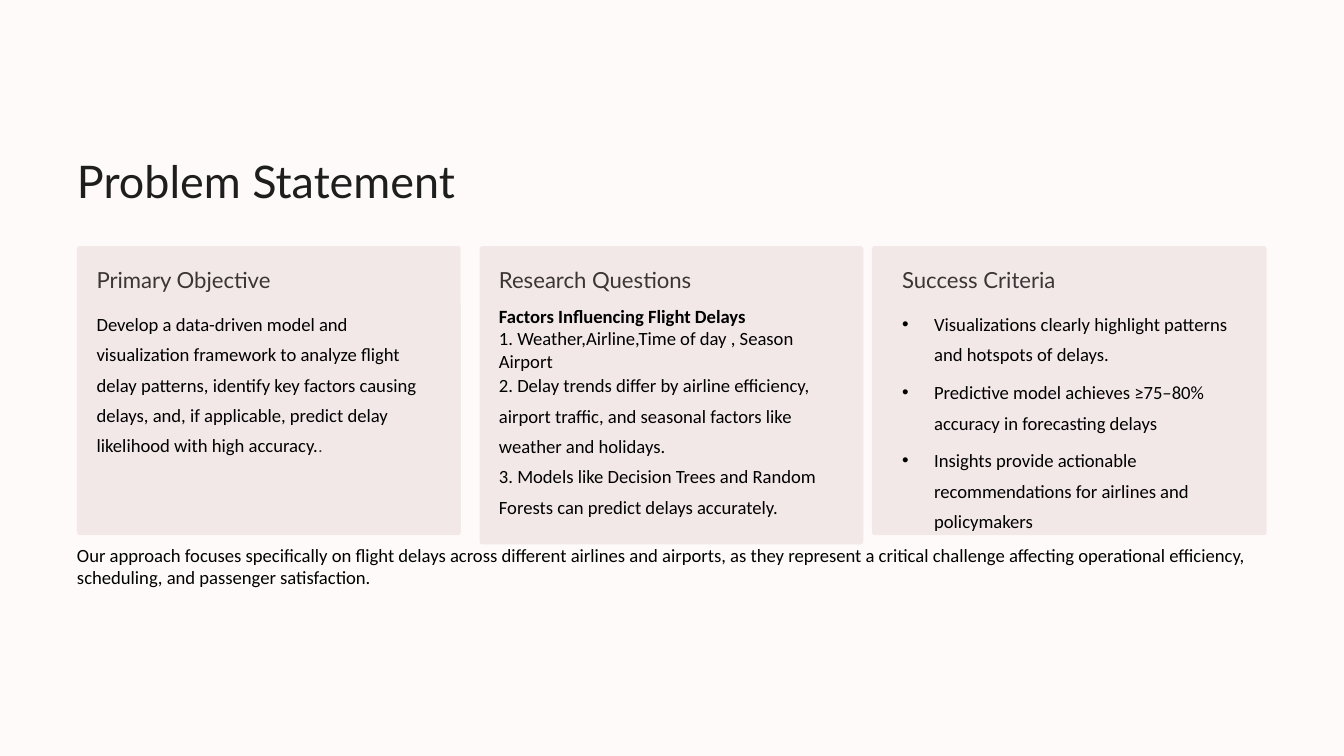
"""Builds the Problem Statement slide with three cards and a closing note."""
from lxml import etree
from pptx import Presentation
from pptx.dml.color import RGBColor
from pptx.enum.shapes import MSO_SHAPE
from pptx.enum.text import MSO_ANCHOR, MSO_AUTO_SIZE, PP_ALIGN
from pptx.oxml.ns import qn
from pptx.util import Pt

ROUNDED = MSO_SHAPE.ROUNDED_RECTANGLE
TOP = MSO_ANCHOR.TOP
NO_FIT = MSO_AUTO_SIZE.NONE
LEFT = PP_ALIGN.LEFT

BACKGROUND = RGBColor(0xFF, 0xFA, 0xFA)
CARD = RGBColor(0xF3, 0xE8, 0xE8)
TITLE = RGBColor(0x1F, 0x1E, 0x1E)
HEADING = RGBColor(0x3B, 0x35, 0x35)
BODY = RGBColor(0x00, 0x00, 0x00)

MARGIN = 66
CARD_TOP = 211
HEADING_TOP = 226.8
BODY_TOP = 261.4
TEXT_WIDTH = 296
BULLET_INDENT = 27.4


class CardSlide:
    """Holds the slide and its text style, and draws each kind of element."""

    def __init__(self, slide):
        self.slide = slide
        slide.background.fill.solid()
        slide.background.fill.fore_color.rgb = BACKGROUND

    def fill_text(self, holder, lines, size=16, font="Calibri", color=BODY,
                  spacing=None, gap=0, wrap=True, bullets=False):
        frame = holder.text_frame
        frame.margin_left = frame.margin_right = Pt(0)
        frame.margin_top = frame.margin_bottom = Pt(0)
        frame.word_wrap = wrap
        frame.auto_size = NO_FIT
        frame.vertical_anchor = TOP
        frame.text = "\n".join(lines)
        for index, paragraph in enumerate(frame.paragraphs):
            paragraph.alignment = LEFT
            paragraph.space_before = Pt(gap if index else 0)
            if spacing:
                paragraph.line_spacing = Pt(spacing)
            if bullets:
                properties = paragraph._p.get_or_add_pPr()
                properties.set("marL", str(Pt(BULLET_INDENT)))
                properties.set("indent", str(-Pt(BULLET_INDENT)))
                etree.SubElement(properties, qn("a:buChar"), char="•")
            for run in paragraph.runs:
                self.style(run, size, font, color)
        return frame

    def style(self, run, size, font, color):
        run.font.size = Pt(size)
        run.font.name = font
        run.font.color.rgb = color

    def place(self, holder, left, top, width, height):
        holder.left, holder.top = Pt(left), Pt(top)
        holder.width, holder.height = Pt(width), Pt(height)

    def title(self, text):
        holder = self.slide.shapes.title
        self.place(holder, MARGIN, 129, 388, 48)
        self.fill_text(holder, [text], 38.5, "Lato", TITLE, 48.5, wrap=False)

    def text(self, left, top, width, height, lines, **style):
        box = self.slide.shapes.add_textbox(Pt(left), Pt(top), Pt(width), Pt(height))
        return self.fill_text(box, lines, **style)

    def card(self, left, width, height, text_left, heading):
        panel = self.slide.shapes.add_shape(
            ROUNDED, Pt(left), Pt(CARD_TOP), Pt(width), Pt(height))
        panel.adjustments[0] = 0.01
        panel.shadow.inherit = False
        panel.fill.solid()
        panel.fill.fore_color.rgb = CARD
        panel.line.fill.background()
        self.text(text_left, HEADING_TOP, 194, 24, [heading], size=19,
                  font="Lato", color=HEADING, spacing=24, wrap=False)

    def bullet_list(self, left, items):
        holder = self.slide.placeholders[1]
        self.slide.shapes._spTree.append(holder._element)
        self.place(holder, left, BODY_TOP, TEXT_WIDTH, 196)
        self.fill_text(holder, items, spacing=26, gap=6.4, bullets=True)


def main():
    deck = Presentation()
    deck.slide_width, deck.slide_height = Pt(1152), Pt(648)
    page = CardSlide(deck.slides.add_slide(deck.slide_layouts[1]))
    page.title("Problem Statement")

    objective_left, questions_left, criteria_left = 82.8, 427.7, 773.3
    page.card(MARGIN, 329, 247.7, objective_left, "Primary Objective")
    objective = page.text(objective_left, BODY_TOP, TEXT_WIDTH, 130, [
        "Develop a data-driven model and visualization framework to analyze "
        "flight delay patterns, identify key factors causing delays, and, if "
        "applicable, predict delay likelihood with high accuracy."], spacing=26)
    full_stop = objective.paragraphs[0].add_run()
    full_stop.text = "."
    page.style(full_stop, 16, "Roboto", HEADING)

    page.card(411.1, 329, 255.6, questions_left, "Research Questions")
    factors = page.text(questions_left, BODY_TOP, TEXT_WIDTH, 52.5, [
        "Factors Influencing Flight Delays",
        "1. Weather,Airline,Time of day , Season",
        "Airport"])
    factors.paragraphs[0].runs[0].font.bold = True
    page.text(questions_left, 314, TEXT_WIDTH, 130, [
        "2. Delay trends differ by airline efficiency, airport traffic, and "
        "seasonal factors like weather and holidays.",
        "3. Models like Decision Trees and Random Forests can predict delays "
        "accurately."], spacing=26)

    page.card(747.4, 338.4, 247.7, criteria_left, "Success Criteria")
    page.bullet_list(criteria_left, [
        "Visualizations clearly highlight patterns and hotspots of delays.",
        "Predictive model achieves ≥75–80% accuracy in forecasting delays",
        "Insights provide actionable recommendations for airlines and policymakers"])

    page.text(MARGIN, 465.8, 1020, 52.5, [
        "Our approach focuses specifically on flight delays across different "
        "airlines and airports, as they represent a critical challenge affecting "
        "operational efficiency, scheduling, and passenger satisfaction."])
    deck.save("out.pptx")


if __name__ == "__main__":
    main()
